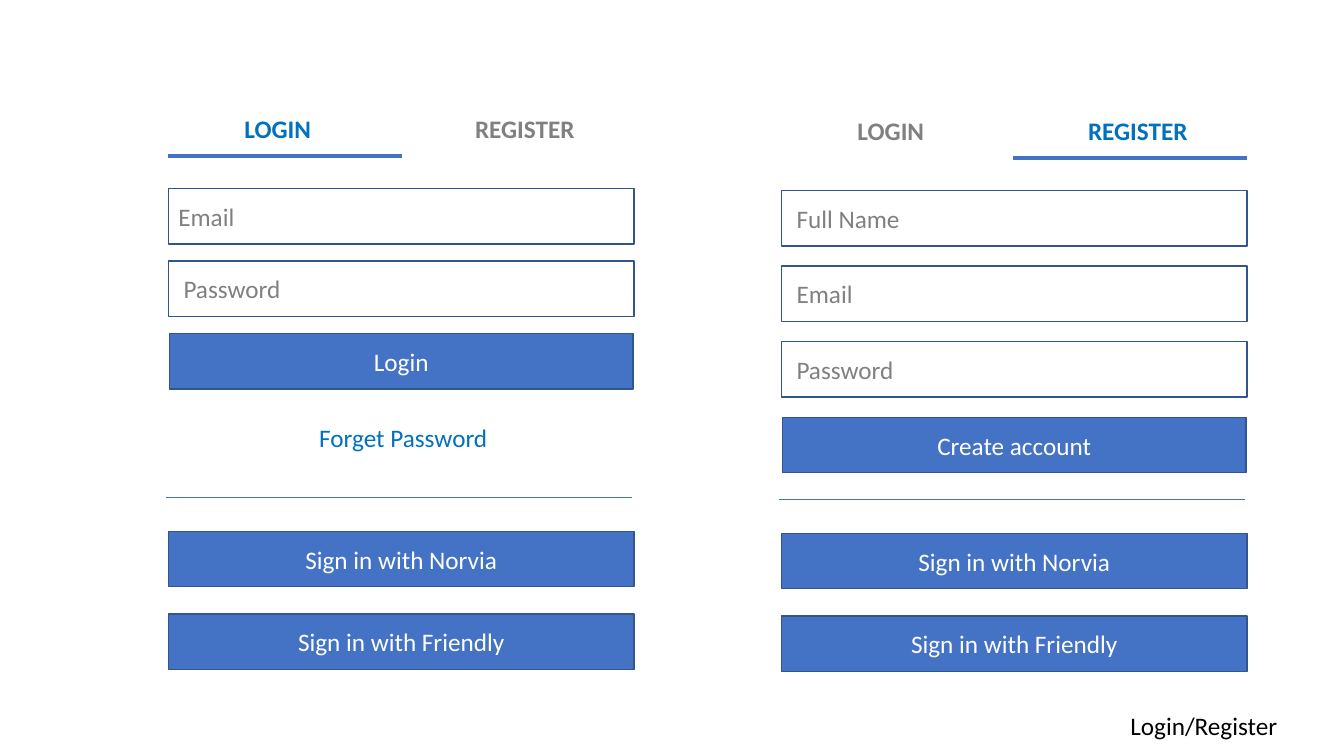
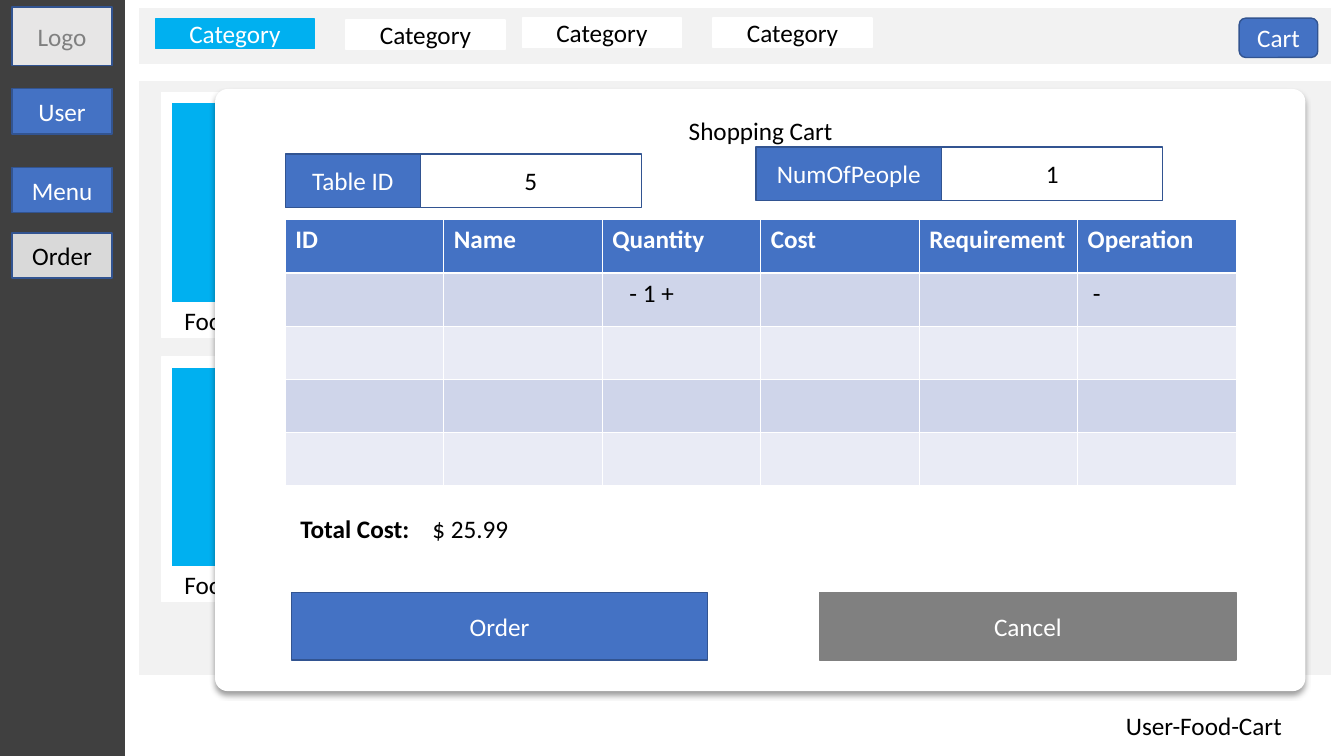
from dataclasses import dataclass

from lxml import etree
from pptx import Presentation
from pptx.dml.color import RGBColor
from pptx.enum import shapes, text
from pptx.oxml import ns
from pptx.util import Inches, Pt


@dataclass(frozen=True)
class Theme:
    font: str = "Calibri"
    size: int = 18
    hairline: float = 0.5
    outline: float = 1
    underline: float = 3
    blue: str = "4472C4"
    navy: str = "325491"
    link: str = "0070C0"
    cyan: str = "00B0F0"
    white: str = "FFFFFF"
    black: str = "000000"
    gray: str = "808080"
    dark: str = "404040"
    panel: str = "F2F2F2"
    logo: str = "E7E6E6"
    current: str = "D9D9D9"
    band_dark: str = "CFD5EA"
    band_light: str = "E9EBF5"


THEME = Theme()
CENTER, LEFT = text.PP_ALIGN.CENTER, text.PP_ALIGN.LEFT
RECT, ROUNDED = shapes.MSO_SHAPE.RECTANGLE, shapes.MSO_SHAPE.ROUNDED_RECTANGLE
INSET, INDENT = 0.1, 0.15


def rgb(color):
    return RGBColor.from_string(color)


def write(frame, words, color, bold=False, align=CENTER):
    frame.text = words
    paragraph = frame.paragraphs[0]
    paragraph.alignment = align
    for run in paragraph.runs:
        run.font.name = THEME.font
        run.font.size = Pt(THEME.size)
        run.font.bold = bold
        run.font.color.rgb = rgb(color)


def add_box(slide, x, y, w, h, fill, words="", color=THEME.white, line=None,
            bold=False, align=CENTER, inset=INSET, kind=RECT):
    """Draw a filled shape; the outline takes the fill colour unless given."""
    box = slide.shapes.add_shape(kind, Inches(x), Inches(y), Inches(w), Inches(h))
    box.shadow.inherit = False
    box.fill.solid()
    box.fill.fore_color.rgb = rgb(fill)
    box.line.color.rgb = rgb(line or fill)
    box.line.width = Pt(THEME.outline)
    if words:
        frame = box.text_frame
        frame.word_wrap = True
        frame.margin_left = Inches(inset)
        frame.vertical_anchor = text.MSO_ANCHOR.MIDDLE
        write(frame, words, color, bold, align)
    return box


def add_button(slide, x, y, w, h, words, kind=RECT):
    return add_box(slide, x, y, w, h, THEME.blue, words, line=THEME.navy, kind=kind)


def add_rule(slide, x, y, length, weight):
    rule = slide.shapes.add_connector(
        shapes.MSO_CONNECTOR.STRAIGHT, Inches(x), Inches(y), Inches(x + length), Inches(y))
    rule.line.color.rgb = rgb(THEME.blue)
    rule.line.width = Pt(weight)
    etree.SubElement(rule._element.spPr, ns.qn("a:effectLst"))


def add_label(slide, x, y, w, words):
    label = slide.shapes.add_textbox(Inches(x), Inches(y), Inches(w), Inches(0.4))
    label.text_frame.word_wrap = True
    write(label.text_frame, words, THEME.black)


def add_page_name(slide, words):
    add_label(slide, 10.92, 7, 2.04, words)


def add_soft_shadow(shape):
    effects = shape._element.spPr.find(ns.qn("a:effectLst"))
    shadow = etree.SubElement(
        effects, ns.qn("a:outerShdw"), blurRad=str(Pt(4)), dist=str(Pt(3)),
        dir="5400000", algn="t", rotWithShape="0")
    tint = etree.SubElement(shadow, ns.qn("a:srgbClr"), val=THEME.black)
    etree.SubElement(tint, ns.qn("a:alpha"), val="40000")


def add_form(slide, x, y, active_tab, fields, pitch, action):
    """Draw tabs, evenly spaced fields, the action button and the sign-in buttons."""
    width, height = 4.62, 0.55
    for i, tab in enumerate(("LOGIN", "REGISTER")):
        color = THEME.link if i == active_tab else THEME.gray
        add_box(slide, x + 2.45 * i, y, 2.17, height, THEME.white, tab, color, bold=True)
    add_rule(slide, x + 2.3 * active_tab, y + height, 2.32, THEME.underline)
    first_field = y + 0.87
    for i, (prompt, inset) in enumerate(fields):
        add_box(slide, x, first_field + pitch * i, width, height, THEME.white, prompt,
                THEME.gray, line=THEME.navy, align=LEFT, inset=inset)
    add_button(slide, x + 0.01, first_field + pitch * len(fields), 4.6, height, action)
    add_rule(slide, x - 0.02, y + 3.93, width, THEME.hairline)
    for i, provider in enumerate(("Norvia", "Friendly")):
        add_button(slide, x, y + 4.27 + 0.82 * i, width, height, f"Sign in with {provider}")


def add_food_card(slide, x, y):
    add_box(slide, x, y, 2.62, 2.43, THEME.white)
    add_box(slide, x + 0.1, y + 0.1, 2.44, 2, THEME.cyan, line=THEME.white)
    add_box(slide, x + 0.08, y + 2.08, 2.44, 0.35, THEME.white, "Food", THEME.black,
            align=LEFT, inset=INDENT)


def add_named_value(slide, x, y, name_width, name, value):
    height = 0.53
    add_button(slide, x, y, name_width, height, name)
    add_box(slide, x + name_width, y, 2.19, height, THEME.white, value, THEME.black,
            line=THEME.navy)


def add_cart_table(slide, x, y):
    headings = ("ID", "Name", "Quantity", "Cost", "Requirement", "Operation")
    entries = {(1, 2): ("- 1 +", 0.27), (1, 5): ("-", INDENT)}
    entries.update({(0, c): (heading, INSET) for c, heading in enumerate(headings)})
    row_count = 5
    table = slide.shapes.add_table(row_count, len(headings), Inches(x), Inches(y),
                                   Inches(9.43), Inches(2.64)).table
    for r in range(row_count):
        is_head = r == 0
        band = THEME.band_dark if r % 2 else THEME.band_light
        for c in range(len(headings)):
            cell = table.cell(r, c)
            cell.fill.solid()
            cell.fill.fore_color.rgb = rgb(THEME.blue if is_head else band)
            if (r, c) in entries:
                words, inset = entries[r, c]
                cell.margin_left = Inches(inset)
                write(cell.text_frame, words, THEME.white if is_head else THEME.black,
                      is_head, LEFT)


def build_login(slide):
    login_x, login_y = 1.67, 1
    add_form(slide, login_x, login_y, 0, [("Email", INSET), ("Password", INDENT)],
             0.72, "Login")
    add_box(slide, login_x + 0.03, login_y + 3.06, 4.6, 0.55, THEME.white,
            "Forget Password", THEME.link)
    prompts = ("Full Name", "Email", "Password")
    add_form(slide, 7.75, 1.02, 1, [(prompt, INDENT) for prompt in prompts],
             0.75, "Create account")
    add_page_name(slide, "Login/Register")


def add_shop_page(slide):
    add_box(slide, 0, 0, 1.23, 7.5, THEME.dark)
    menu_x, menu_w, menu_h = 0.12, 0.99, 0.45
    add_box(slide, menu_x, 0.07, menu_w, 0.58, THEME.logo, "Logo", THEME.gray,
            line=THEME.navy)
    add_button(slide, menu_x, 0.88, menu_w, menu_h, "User")
    add_button(slide, menu_x, 1.66, menu_w, menu_h, "Menu")
    add_box(slide, menu_x, 2.31, menu_w, menu_h, THEME.current, "Order", THEME.black,
            line=THEME.navy)
    for y, height in ((0.07, 0.57), (0.8, 5.9)):
        add_box(slide, 1.37, y, 11.84, height, THEME.panel, line=THEME.white)
    for i, (x, y) in enumerate(((1.54, 0.19), (3.43, 0.2), (5.18, 0.18), (7.07, 0.18))):
        fill, color = (THEME.white, THEME.black) if i else (THEME.cyan, THEME.white)
        add_box(slide, x, y, 1.58, 0.29, fill, "Category", color)
    add_button(slide, 12.29, 0.18, 0.78, 0.39, "Cart", kind=ROUNDED)
    for y in (0.92, 3.54):
        add_food_card(slide, 1.6, y)


def add_cart_dialog(slide):
    dialog = add_box(slide, 2.14, 0.89, 10.8, 5.96, THEME.white, kind=ROUNDED)
    dialog.adjustments[0] = 0.02
    add_soft_shadow(dialog)
    x = 2.83
    add_label(slide, x, 1.09, 9.43, "Shopping Cart")
    add_cart_table(slide, x, 2.18)
    add_named_value(slide, x, 1.53, 1.34, "Table ID", "5")
    add_named_value(slide, 7.5, 1.46, 1.84, "NumOfPeople", "1")
    add_box(slide, 2.85, 4.98, 1.34, 0.53, THEME.white, "Total Cost:", THEME.black,
            bold=True)
    add_box(slide, 4.19, 4.98, 2.19, 0.53, THEME.white, "$ 25.99", THEME.black, align=LEFT)
    add_button(slide, 2.89, 5.88, 4.13, 0.67, "Order")
    add_box(slide, 8.13, 5.88, 4.13, 0.67, THEME.gray, "Cancel")


def build_cart(slide):
    add_shop_page(slide)
    add_cart_dialog(slide)
    add_page_name(slide, "User-Food-Cart")


def main():
    deck = Presentation()
    deck.slide_width, deck.slide_height = Inches(13.33), Inches(7.5)
    blank = deck.slide_layouts[6]
    for build in (build_login, build_cart):
        build(deck.slides.add_slide(blank))
    deck.save("out.pptx")


if __name__ == "__main__":
    main()
